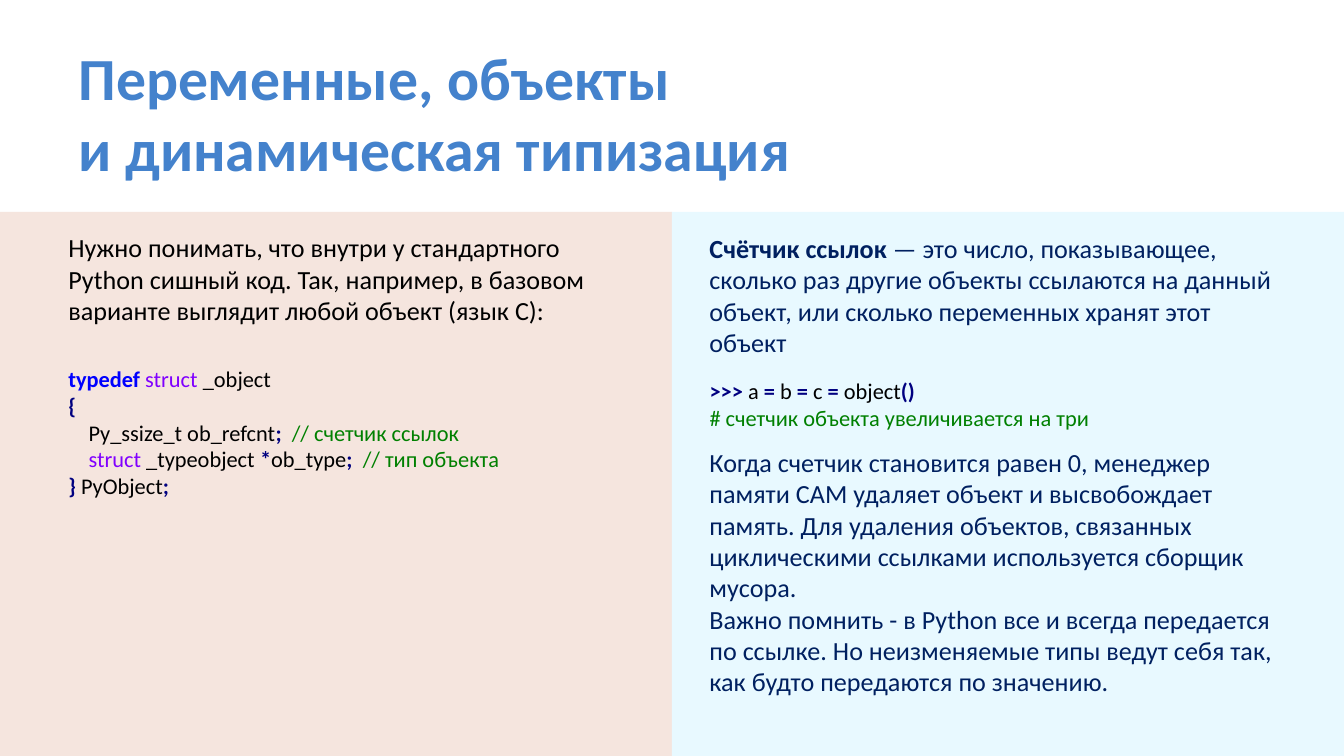
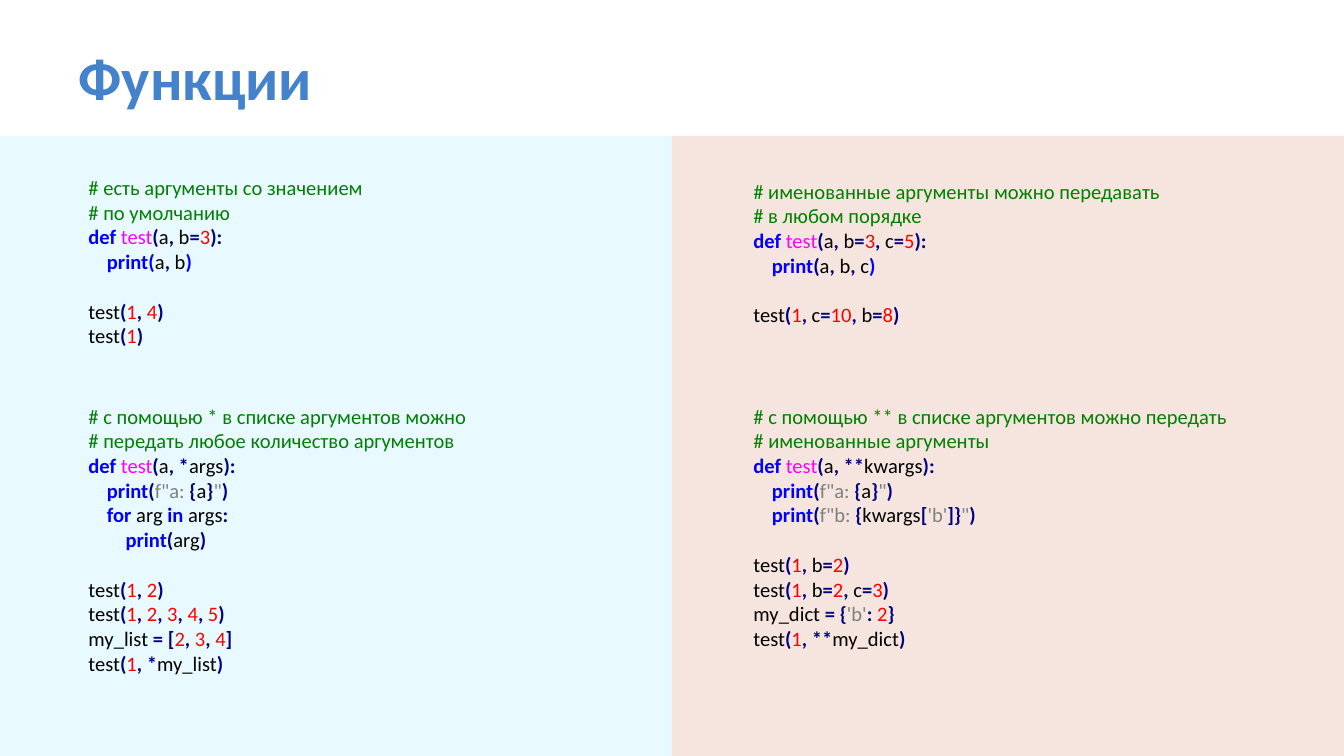
from pptx import Presentation
from pptx.dml.color import RGBColor
from pptx.enum.shapes import MSO_SHAPE
from pptx.enum.text import MSO_ANCHOR, MSO_AUTO_SIZE
from pptx.util import Pt

RECTANGLE = MSO_SHAPE.RECTANGLE
TOP = MSO_ANCHOR.TOP
GROW = MSO_AUTO_SIZE.SHAPE_TO_FIT_TEXT

WIDTH, HEIGHT = 720, 405
BLANK_LAYOUT = 6
FONT = "Calibri"
TITLE_SIZE, PROSE_SIZE = 32, 14
LINE_HEIGHT = 1.22
SPACE_WIDTH = 0.226

TITLE_BLUE = RGBColor(0x44, 0x82, 0xCC)
PALE_BLUE = RGBColor(0xE8, 0xF9, 0xFF)
PALE_PINK = RGBColor(0xF5, 0xE5, 0xDE)
BLACK = RGBColor(0x00, 0x00, 0x00)
DARK_BLUE = RGBColor(0x00, 0x20, 0x60)
NAVY = RGBColor(0x00, 0x00, 0x80)
BLUE = RGBColor(0x00, 0x00, 0xFF)
VIOLET = RGBColor(0x80, 0x00, 0xFF)
MAGENTA = RGBColor(0xFF, 0x00, 0xFF)
GREEN = RGBColor(0x00, 0x80, 0x00)
RED = RGBColor(0xFF, 0x00, 0x00)
GRAY = RGBColor(0x80, 0x80, 0x80)

# Markup key: (colour, bold)
STYLES = {
    "t": (BLACK, False),      # plain text and names
    "p": (DARK_BLUE, False),  # prose
    "b": (DARK_BLUE, True),   # bold prose
    "k": (BLUE, True),        # keyword
    "y": (VIOLET, False),     # type
    "f": (MAGENTA, False),    # function name
    "o": (NAVY, True),        # operator
    "n": (RED, False),        # number
    "s": (GRAY, False),       # string
    "c": (GREEN, False),      # comment
}

OBJECT_INTRO = (
    "t:Нужно понимать, что внутри у стандартного Python сишный код. "
    "Так, например, в базовом варианте выглядит любой объект (язык C):"
)
OBJECT_CODE = """
k:typedef |y:struct|t: _object
o:{
    t:Py_ssize_t ob_refcnt|o:;  |c:// счетчик ссылок
    y:struct|t: _typeobject |o:*|t:ob_type|o:;  |c:// тип объекта
o:} |t:PyObject|o:;
"""
COUNTER_INTRO = (
    "b:Счётчик ссылок |p:— это число, показывающее, сколько раз другие объекты "
    "ссылаются на данный объект, или сколько переменных хранят этот объект"
)
COUNTER_CODE = """
o:>>>|t: a |o:=|t: b |o:=|t: c |o:=|t: object|o:()
c:# счетчик объекта увеличивается на три
"""
COUNTER_NOTES = (
    "p:Когда счетчик становится равен 0, менеджер памяти САМ удаляет объект и "
    "высвобождает память. Для удаления объектов, связанных циклическими ссылками "
    "используется сборщик мусора.\n"
    "p:Важно помнить - в Python все и всегда передается по ссылке. Но неизменяемые "
    "типы ведут себя так, как будто передаются по значению."
)
DEFAULTS_CODE = """
c:# есть аргументы со значением
c:# по умолчанию
k:def |f:test|o:(|t:a|o:,|t: b|o:=|n:3|o:):
    k:print(|t:a|o:,|t: b|k:)

t:test|o:(|n:1|o:, |n:4|o:)
t:test|o:(|n:1|o:)
"""
NAMED_CODE = """
c:# именованные аргументы можно передавать
c:# в любом порядке
k:def |f:test|o:(|t:a|o:,|t: b|o:=|n:3|o:,|t: c|o:=|n:5|o:):
    k:print|o:(|t:a|o:,|t: b|o:,|t: c|k:)

t:test|o:(|n:1|o:,|t: c|o:=|n:10|o:,|t: b|o:=|n:8|o:)
"""
ARGS_CODE = """
c:# с помощью * в списке аргументов можно
c:# передать любое количество аргументов
k:def |f:test|o:(|t:a|o:, *|t:args|o:):
    k:print|o:(|s:f"a: |o:{|t:a|o:}|s:"|o:)
    k:for|t: arg |k:in|t: args|o::
        k:print|o:(|t:arg|o:)

t:test|o:(|n:1|o:, |n:2|o:)
t:test|o:(|n:1|o:, |n:2|o:, |n:3|o:, |n:4|o:, |n:5|o:)
t:my_list |o:= [|n:2|o:, |n:3|o:, |n:4|o:]
t:test|o:(|n:1|o:, *|t:my_list|o:)
"""
KWARGS_CODE = """
c:# с помощью ** в списке аргументов можно передать
c:# именованные аргументы
k:def |f:test|o:(|t:a|o:, **|t:kwargs|o:):
    k:print|o:(|s:f"a: |o:{|t:a|o:}|s:"|o:)
    k:print|o:(|s:f"b: |o:{|t:kwargs|o:[|s:'b'|o:]}|s:"|o:)

t:test|o:(|n:1|o:,|t: b|o:=|n:2|o:)
t:test|o:(|n:1|o:,|t: b|o:=|n:2|o:,|t: c|o:=|n:3|o:)
t:my_dict |o:= {|s:'b'|o:: |n:2|o:}
t:test|o:(|n:1|o:, **|t:my_dict|o:)
"""


def set_values(target, values):
    for name, value in values.items():
        setattr(target, name, value)


def add_run(paragraph, text, size, color, bold):
    run = paragraph.add_run()
    run.text = text
    set_values(run.font, {"name": FONT, "size": Pt(size), "bold": bold})
    run.font.color.rgb = color


def add_frame(slide, left, top, width, height):
    box = slide.shapes.add_textbox(Pt(left), Pt(top), Pt(width), Pt(height))
    set_values(box.text_frame, {"word_wrap": True, "vertical_anchor": TOP})
    return box.text_frame


def add_title(slide, lines, width):
    frame = add_frame(slide, 35, 14.5, width, 55)
    set_values(frame, {"margin_top": Pt(7.2), "margin_bottom": Pt(7.2)})
    paragraph = frame.paragraphs[0]
    for index, line in enumerate(lines):
        if index:
            paragraph.add_line_break()
        add_run(paragraph, line, TITLE_SIZE, TITLE_BLUE, True)


def add_marked_text(slide, box, markup, size):
    """Write "key:text|key:text" lines; an empty line becomes space before the next."""
    frame = add_frame(slide, *box)
    frame.auto_size = GROW
    paragraph = None
    gap = 0
    for line in markup.strip("\n").split("\n"):
        if not line:
            gap = size * LINE_HEIGHT
            continue
        paragraph = frame.add_paragraph() if paragraph else frame.paragraphs[0]
        spans = line.lstrip(" ")
        indent = (len(line) - len(spans)) * SPACE_WIDTH * size
        if indent:
            paragraph._p.get_or_add_pPr().set("marL", str(Pt(indent)))
        if gap:
            paragraph.space_before = Pt(gap)
            gap = 0
        for span in spans.split("|"):
            key, text = span.split(":", 1)
            add_run(paragraph, text, size, *STYLES[key])


def add_panel(slide, left, top, color, blocks):
    """Fill half the slide below top; block boxes are relative to the panel."""
    panel = slide.shapes.add_shape(
        RECTANGLE, Pt(left), Pt(top), Pt(WIDTH / 2), Pt(HEIGHT - top)
    )
    panel.shadow.inherit = False
    panel.fill.solid()
    panel.fill.fore_color.rgb = color
    panel.line.fill.background()
    for (x, y, width, height), markup, size in blocks:
        add_marked_text(slide, (left + x, top + y, width, height), markup, size)


def add_two_panel_slide(presentation, title, title_width, top, panels):
    slide = presentation.slides.add_slide(presentation.slide_layouts[BLANK_LAYOUT])
    add_title(slide, title, title_width)
    for index, (color, blocks) in enumerate(panels):
        add_panel(slide, index * WIDTH / 2, top, color, blocks)


def add_variables_slide(presentation):
    code_size = 12
    left_blocks = [
        ((29.5, 7, 310, 75), OBJECT_INTRO, PROSE_SIZE),
        ((29.5, 78.5, 317.5, 80), OBJECT_CODE, code_size),
    ]
    right_blocks = [
        ((13, 7.5, 327, 75), COUNTER_INTRO, PROSE_SIZE),
        ((13, 85, 325.5, 36), COUNTER_CODE, code_size),
        ((13, 122, 327, 160), COUNTER_NOTES, PROSE_SIZE),
    ]
    add_two_panel_slide(
        presentation, ["Переменные, объекты ", "и динамическая типизация"], 658, 113.5,
        [(PALE_PINK, left_blocks), (PALE_BLUE, right_blocks)],
    )


def add_functions_slide(presentation):
    code_size = 11
    left_blocks = [
        ((40.3, 17.5, 238, 101.5), DEFAULTS_CODE, code_size),
        ((40.3, 140, 246, 154), ARGS_CODE, code_size),
    ]
    right_blocks = [
        ((36.5, 19.5, 273.5, 87), NAMED_CODE, code_size),
        ((36.5, 140, 317, 140), KWARGS_CODE, code_size),
    ]
    add_two_panel_slide(
        presentation, ["Функции"], 576, 72.75,
        [(PALE_BLUE, left_blocks), (PALE_PINK, right_blocks)],
    )


def main():
    presentation = Presentation()
    set_values(presentation, {"slide_width": Pt(WIDTH), "slide_height": Pt(HEIGHT)})
    add_variables_slide(presentation)
    add_functions_slide(presentation)
    presentation.save("out.pptx")


if __name__ == "__main__":
    main()
